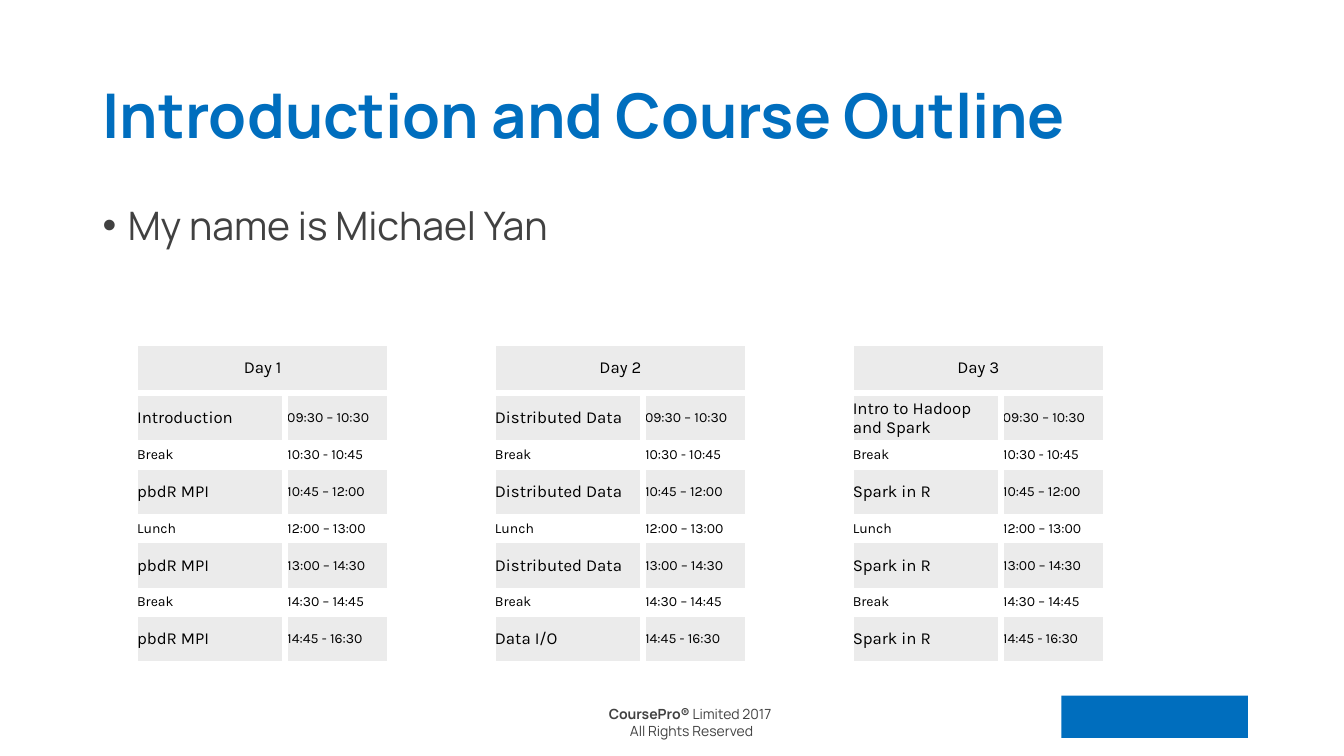
from dataclasses import dataclass

from lxml import etree
from pptx import Presentation
from pptx.dml.color import RGBColor
from pptx.enum.shapes import MSO_SHAPE
from pptx.enum.text import MSO_ANCHOR, MSO_AUTO_SIZE, PP_ALIGN
from pptx.oxml.ns import qn
from pptx.util import Inches, Pt

LEFT, CENTER = PP_ALIGN.LEFT, PP_ALIGN.CENTER
TOP, MIDDLE = MSO_ANCHOR.TOP, MSO_ANCHOR.MIDDLE
GROW, FIXED = MSO_AUTO_SIZE.SHAPE_TO_FIT_TEXT, MSO_AUTO_SIZE.NONE
BLOCK = MSO_SHAPE.RECTANGLE


# Theme: colours, fonts and type sizes
@dataclass(frozen=True)
class Theme:
    blue: str = "006EBE"
    gray: str = "414141"
    black: str = "000000"
    white: str = "FFFFFF"
    band: str = "EBEBEB"
    main: str = "Manrope"
    grid: str = "Karla"
    title: int = 44
    body: int = 28
    topic: int = 12
    small: int = 10
    rule: int = 5


THEME = Theme()


@dataclass(frozen=True)
class Run:
    text: str
    size: int
    font: str = THEME.main
    color: str = THEME.gray
    bold: bool = False


@dataclass(frozen=True)
class Box:
    place: tuple[float, float, float, float]
    lines: list[list[Run]]
    align: int = LEFT
    anchor: int = TOP
    wrap: bool = True
    bullet: bool = False


@dataclass(frozen=True)
class Day:
    name: str
    topics: tuple[str, str, str, str]


# Grid: ten columns and ten rows to the inch
def unit(count: float) -> int:
    return Inches(count / 10)


WIDE, HIGH = 133.33, 75
EDGE, SPAN = 9.2, 115
FIRST, STEP, UPPER = 13.4, 35.5, 34
COLS = (14.9, 10.4)
TALL, SHORT = 5, 2.3
INSET = 0.2
BADGE = (105.3, 69, 18.5, 4.2)

# Text boxes
BOXES = [
    Box((58.9, 69.5, 19.4, 6.2),
        [[Run("CoursePro®", THEME.small, bold=True),
          Run(" Limited 2017 ", THEME.small)],
         [Run("All Rights Reserved", THEME.small)]],
        align=CENTER, wrap=False),
    Box((EDGE, 4, SPAN, 14.5),
        [[Run("Introduction and Course Outline", THEME.title,
              color=THEME.blue, bold=True)]],
        anchor=MIDDLE),
    Box((EDGE, 20, SPAN, 47.6),
        [[Run("My name is Michael Yan", THEME.body)]], bullet=True),
]

# Day plans: topics alternate with the shared pauses
DAYS = [
    Day("Day 1", ("Introduction", "pbdR MPI", "pbdR MPI", "pbdR MPI")),
    Day("Day 2", ("Distributed Data", "Distributed Data",
                  "Distributed Data", "Data I/O")),
    Day("Day 3", ("Intro to Hadoop and Spark", "Spark in R",
                  "Spark in R", "Spark in R")),
]
PAUSES = ("Break", "Lunch", "Break")
TIMES = ("09:30 – 10:30", "10:30 - 10:45", "10:45 – 12:00", "12:00 – 13:00",
         "13:00 – 14:30", "14:30 – 14:45", "14:45 - 16:30")


def add_run(para, run: Run) -> None:
    part = para.add_run()
    part.text = run.text
    font = part.font
    font.name, font.size, font.bold = run.font, Pt(run.size), run.bold
    font.color.rgb = RGBColor.from_string(run.color)


def add_bullet(para) -> None:
    para.line_spacing = 0.9
    props = para._p.get_or_add_pPr()
    props.set("marL", str(unit(2.5)))
    props.set("indent", str(-unit(2.5)))
    gap = etree.SubElement(props, qn("a:spcBef"))
    etree.SubElement(gap, qn("a:spcPct"), val="30000")
    etree.SubElement(props, qn("a:buFont"), typeface="Arial")
    etree.SubElement(props, qn("a:buChar"), char="•")


def add_box(slide, box: Box) -> None:
    frame = slide.shapes.add_textbox(*map(unit, box.place)).text_frame
    frame.word_wrap = box.wrap
    frame.auto_size = FIXED if box.wrap else GROW
    frame.vertical_anchor = box.anchor
    for index, line in enumerate(box.lines):
        para = frame.add_paragraph() if index else frame.paragraphs[0]
        para.alignment = box.align
        if box.bullet:
            add_bullet(para)
        for run in line:
            add_run(para, run)


def add_badge(slide) -> None:
    badge = slide.shapes.add_shape(BLOCK, *map(unit, BADGE))
    badge.shadow.inherit = False
    badge.fill.solid()
    badge.fill.fore_color.rgb = RGBColor.from_string(THEME.blue)
    badge.line.fill.background()


def style_cell(cell, filled: bool) -> None:
    props = cell._tc.get_or_add_tcPr()
    for side in ("a:lnL", "a:lnR", "a:lnT", "a:lnB"):
        line = etree.SubElement(props, qn(side), w=str(Pt(THEME.rule)))
        paint = etree.SubElement(line, qn("a:solidFill"))
        etree.SubElement(paint, qn("a:srgbClr"), val=THEME.white)
    cell.margin_left = cell.margin_right = unit(INSET)
    cell.margin_top = cell.margin_bottom = unit(INSET)
    cell.vertical_anchor = MIDDLE
    if filled:
        cell.fill.solid()
        cell.fill.fore_color.rgb = RGBColor.from_string(THEME.band)
    else:
        cell.fill.background()


def fill_cell(cell, text: str, size: int, align: int = LEFT) -> None:
    para = cell.text_frame.paragraphs[0]
    para.alignment = align
    add_run(para, Run(text, size, THEME.grid, THEME.black))


def add_day(slide, day: Day, left: float) -> None:
    # A pause takes every second row below the header
    pause = [row > 0 and row % 2 == 0 for row in range(len(TIMES) + 1)]
    rows = [SHORT if rest else TALL for rest in pause]
    table = slide.shapes.add_table(
        len(rows), len(COLS), unit(left), unit(UPPER),
        unit(sum(COLS)), unit(sum(rows))).table
    table.first_row = table.horz_banding = False
    for column, width in zip(table.columns, COLS):
        column.width = unit(width)
    for row, height in enumerate(rows):
        table.rows[row].height = unit(height)
        for col in range(len(COLS)):
            style_cell(table.cell(row, col), not pause[row])

    # Header, then label and time in each row
    table.cell(0, 0).merge(table.cell(0, 1))
    fill_cell(table.cell(0, 0), day.name, THEME.topic, CENTER)
    for index, time in enumerate(TIMES):
        row, rest = index + 1, pause[index + 1]
        names = PAUSES if rest else day.topics
        size = THEME.small if rest else THEME.topic
        fill_cell(table.cell(row, 0), names[index // 2], size)
        fill_cell(table.cell(row, 1), time, THEME.small)


def main() -> None:
    deck = Presentation()
    deck.slide_width, deck.slide_height = unit(WIDE), unit(HIGH)
    slide = deck.slides.add_slide(deck.slide_layouts[6])
    add_badge(slide)
    for box in BOXES:
        add_box(slide, box)
    for index, day in enumerate(DAYS):
        add_day(slide, day, FIRST + index * STEP)
    deck.save("out.pptx")


if __name__ == "__main__":
    main()
